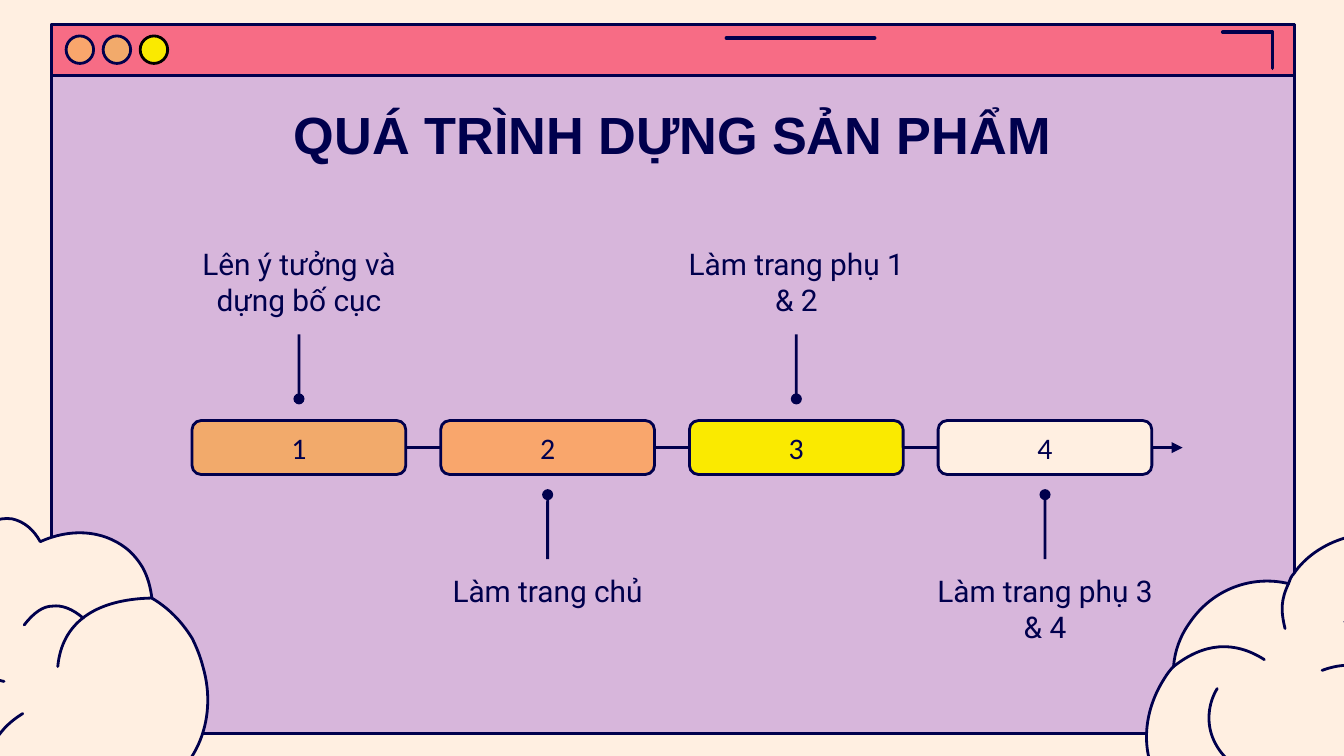
from math import cos, radians, sin

from lxml.etree import SubElement
from pptx import Presentation
from pptx.dml.color import RGBColor
from pptx.enum.shapes import MSO_CONNECTOR, MSO_SHAPE
from pptx.enum.text import MSO_ANCHOR, MSO_AUTO_SIZE, PP_ALIGN
from pptx.oxml.ns import qn
from pptx.util import Cm, Pt

COLORS = {"cream": "FFEFE1", "lilac": "D7B6DB", "pink": "F76C85", "navy": "00004D",
          "amber": "F2AA6B", "orange": "F9A66C", "yellow": "FAEA00", "black": "000000"}

# Cloud curves in inches: a start point, then two handles and an end point per arc
INCH = 2.54
CLOUD_CENTRE = (0.445, 5.035)
CLOUD_TURN = 239.7
CLOUD_BODY = [
    (-0.32, 5.69), (-0.26, 5.8), (-0.18, 5.88), (-0.08, 5.94),
    (-0.07, 5.97), (-0.05, 6.01), (-0.03, 6.04), (0.17, 6.37), (0.55, 6.51), (0.83, 6.35),
    (0.98, 6.26), (1.07, 6.09), (1.09, 5.9), (1.44, 5.78), (1.63, 5.37), (1.51, 4.96),
    (1.49, 4.88), (1.46, 4.81), (1.43, 4.75), (1.35, 4.62), (1.25, 4.52), (1.13, 4.45),
    (1.12, 4.37), (1.1, 4.29), (1.06, 4.22), (1.03, 4.17), (0.99, 4.12), (0.94, 4.08),
    (0.76, 3.94), (0.52, 3.93), (0.3, 4.03), (0.25, 3.94), (0.18, 3.88), (0.09, 3.86),
    (-0.12, 3.83), (-0.33, 4.06), (-0.38, 4.37), (-0.41, 4.54), (-0.38, 4.71), (-0.31, 4.83),
    (-0.3, 4.86), (-0.28, 4.88), (-0.26, 4.9), (-0.44, 5.12), (-0.47, 5.43), (-0.32, 5.69)]
CLOUD_FOLDS = [
    [(0.43, 4.96), (0.46, 4.64), (0.7, 4.46), (1.13, 4.45)],
    [(-0.08, 5.94), (-0.14, 5.66), (-0.06, 5.45), (0.17, 5.31)],
    [(-0.26, 4.9), (-0.18, 5), (-0.11, 5.04), (0.03, 5.07)],
    [(0.18, 4.65), (0.25, 4.56), (0.32, 4.51), (0.39, 4.51),
     (0.46, 4.5), (0.54, 4.53), (0.62, 4.6)],
    [(0.21, 5.72), (0.28, 5.83), (0.4, 5.9), (0.52, 5.91),
     (0.64, 5.92), (0.77, 5.88), (0.86, 5.79)]]

STEPS = [("Lên ý tưởng và dựng bố cục", "amber"), ("Làm trang chủ", "orange"),
         ("Làm trang phụ 1 & 2", "yellow"), ("Làm trang phụ 3 & 4", "cream")]


def turn(x, y, degrees):
    a = radians(degrees)
    return x * cos(a) - y * sin(a), x * sin(a) + y * cos(a)


class Board:
    """Draws navy-outlined elements on one slide."""

    def __init__(self, slide):
        self.slide = slide
        self.shapes = slide.shapes

    def color(self, name):
        return RGBColor.from_string(COLORS[name])

    def background(self, name):
        fill = self.slide.background.fill
        fill.solid()
        fill.fore_color.rgb = self.color(name)

    def paint(self, shape, fill=None, line="navy", width=1.5):
        shape.shadow.inherit = False
        if fill:
            shape.fill.solid()
            shape.fill.fore_color.rgb = self.color(fill)
        else:
            shape.fill.background()
        shape.line.color.rgb = self.color(line)
        shape.line.width = Pt(width)
        return shape

    def box(self, kind, left, top, width, height, fill, line="navy"):
        shape = self.shapes.add_shape(kind, Cm(left), Cm(top), Cm(width), Cm(height))
        return self.paint(shape, fill, line)

    def label(self, shape, text, size, font, bold=False, anchor=MSO_ANCHOR.TOP, top_inset=0.25):
        frame = shape.text_frame
        frame.word_wrap = True
        frame.auto_size = MSO_AUTO_SIZE.NONE
        frame.vertical_anchor = anchor
        frame.margin_left = frame.margin_right = frame.margin_bottom = Cm(0.25)
        frame.margin_top = Cm(top_inset)
        paragraph = frame.paragraphs[0]
        paragraph.alignment = PP_ALIGN.CENTER
        paragraph.space_before = Pt(0)
        run = paragraph.add_run()
        run.text = text
        run.font.size, run.font.name, run.font.bold = Pt(size), font, bold
        run.font.color.rgb = self.color("navy")
        return paragraph

    def placeholder(self, holder, left, top, width, height, text, size, font, **style):
        holder.left, holder.top, holder.width, holder.height = map(Cm, (left, top, width, height))
        self.shapes._spTree.append(holder._element)  # in front of the window
        properties = self.label(holder, text, size, font, **style)._p.get_or_add_pPr()
        properties.set("marL", "0")
        properties.set("indent", "0")
        SubElement(properties, qn("a:buNone"))
        return holder

    def connector(self, source, site, end_x, end_y, tip):
        line = self.shapes.add_connector(MSO_CONNECTOR.STRAIGHT, 0, 0, Cm(end_x), Cm(end_y))
        line.begin_connect(source, site)
        line.line.color.rgb = self.color("navy")
        line.line.width = Pt(1.5)
        SubElement(line.line._get_or_add_ln(), qn("a:tailEnd"), type=tip)
        SubElement(line._element.spPr, qn("a:effectLst"))

    def outline(self, points, fill=None, width=1.5):
        points = [(Cm(x), Cm(y)) for x, y in points]
        builder = self.shapes.build_freeform(*points[0], scale=1.0)
        builder.add_line_segments(points[1:], close=bool(fill))
        shape = self.paint(builder.convert_to_shape(), fill, width=width)
        shape.line._get_or_add_ln().set("cap", "rnd")
        return shape

    def curve(self, points, fill=None):
        shape = self.outline(points, fill)
        contour = shape._element.find(".//" + qn("a:path"))
        segments = contour.findall(qn("a:lnTo"))
        for arc, handle, end in zip(segments[::3], segments[1::3], segments[2::3]):
            arc.tag = qn("a:cubicBezTo")
            for segment in (handle, end):
                arc.append(segment[0])
                contour.remove(segment)
        return shape

    def cloud(self, centre_x, centre_y, rotation):
        for points in [CLOUD_BODY] + CLOUD_FOLDS:
            upright = [turn((x - CLOUD_CENTRE[0]) * INCH, (y - CLOUD_CENTRE[1]) * INCH,
                            -CLOUD_TURN) for x, y in points]
            part = self.curve(upright, "cream" if points is CLOUD_BODY else None)
            x, y = turn(part.left + part.width / 2, part.top + part.height / 2, rotation)
            part.left = int(Cm(centre_x) + x - part.width / 2)
            part.top = int(Cm(centre_y) + y - part.height / 2)
            part.rotation = rotation


def main():
    deck = Presentation()
    deck.slide_width, deck.slide_height = Cm(25.4), Cm(14.29)
    slide = deck.slides.add_slide(deck.slide_layouts.get_by_name("Comparison"))
    title, *captions = slide.placeholders
    board = Board(slide)
    board.background("cream")

    # Browser window
    board.box(MSO_SHAPE.RECTANGLE, 0.98, 0.46, 23.48, 13.41, "lilac")
    board.box(MSO_SHAPE.RECTANGLE, 0.98, 0.46, 23.48, 0.97, "pink")
    board.outline([(23.11, 0.61), (24.05, 0.61), (24.05, 1.29)], width=2)
    board.outline([(13.73, 0.72), (16.53, 0.72)], width=2)
    buttons = [("orange", "navy"), ("amber", "navy"), ("yellow", "black")]
    for i, (fill, line) in enumerate(buttons):
        board.box(MSO_SHAPE.OVAL, 1.25 + 0.7 * i, 0.68, 0.52, 0.52, fill, line)

    # Title
    board.placeholder(title, 1.96, 1.57, 21.49, 1.6, "QUÁ TRÌNH DỰNG SẢN PHẨM",
                      28, "Arial", bold=True, top_inset=0.37)

    # Timeline: captions alternate above and below the steps
    for i, (caption, (text, fill)) in enumerate(zip(captions, STEPS)):
        left = 3.63 + 4.7 * i
        above = i % 2 == 0
        step = board.box(MSO_SHAPE.ROUNDED_RECTANGLE, left, 7.95, 4.04, 1.02, fill)
        board.label(step, str(i + 1), 16, "Calibri", anchor=MSO_ANCHOR.MIDDLE)
        if i == 0:
            board.connector(step, 3, 22.35, 8.46, "triangle")
        board.placeholder(caption, left - 0.51, 4.39 if above else 10.57, 5.06, 1.93,
                          text, 16, "Roboto")
        board.connector(caption, 2 if above else 0, left + 2.02, 7.54 if above else 9.35, "oval")

    # Clouds in the lower corners
    board.cloud(1.13, 12.79, CLOUD_TURN)
    board.cloud(24.83, 12.79, CLOUD_TURN + 64)

    deck.save("out.pptx")


if __name__ == "__main__":
    main()
